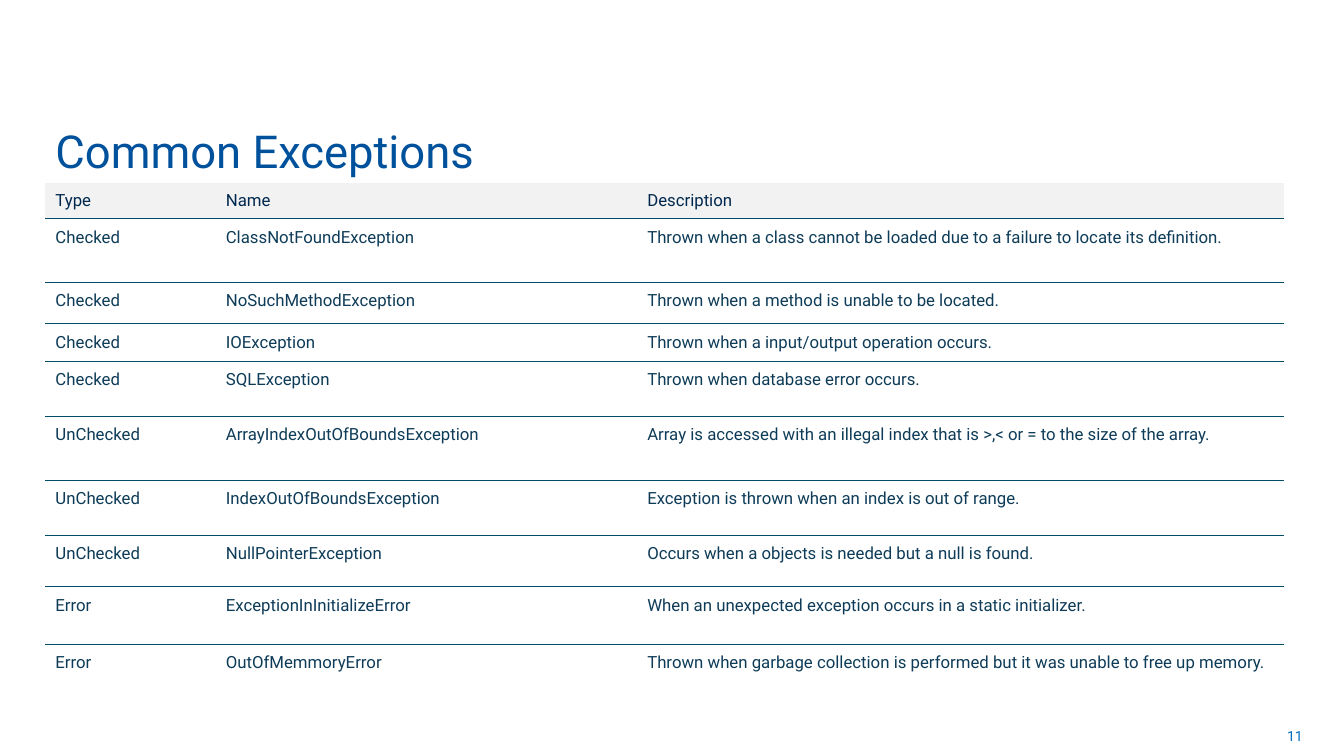
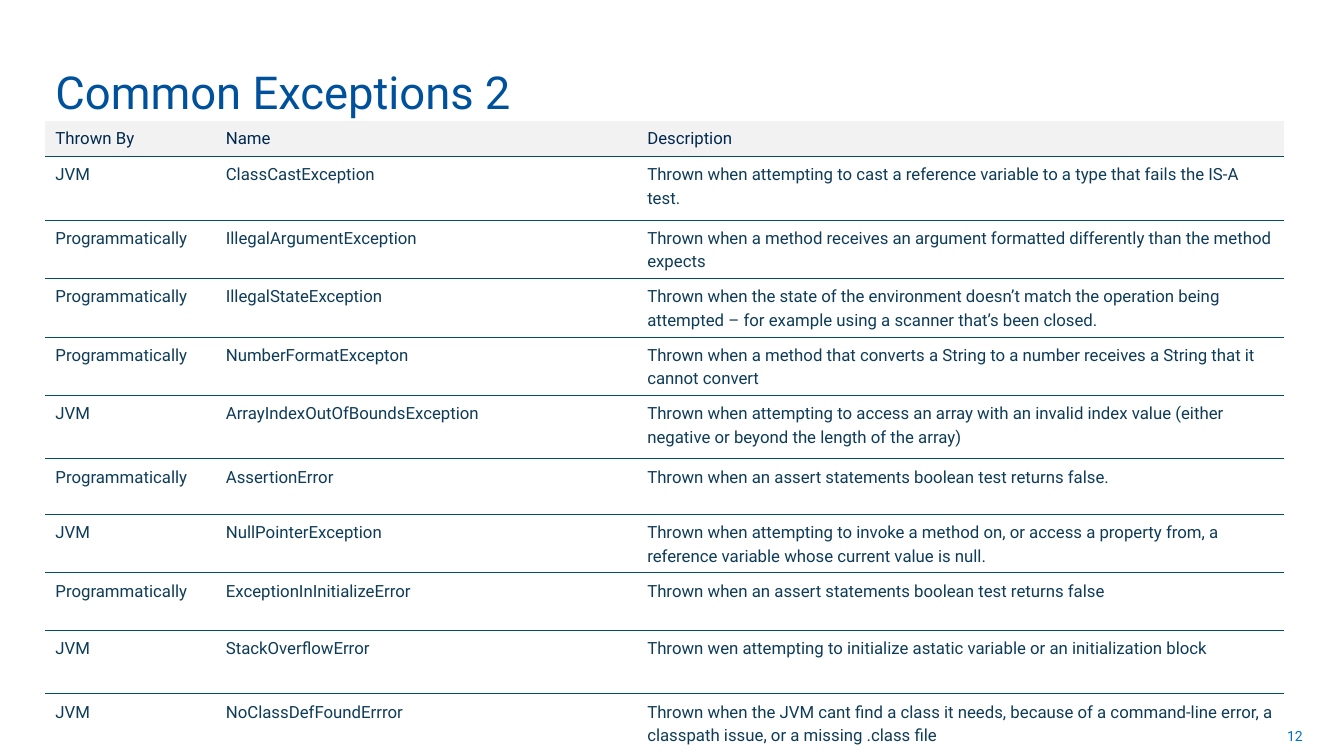
from pptx import Presentation
from pptx.dml.color import RGBColor
from pptx.enum.text import MSO_ANCHOR, MSO_AUTO_SIZE, PP_ALIGN
from pptx.oxml import parse_xml
from pptx.oxml.ns import nsdecls
from pptx.util import Inches, Pt

FONT = "Roboto"
TITLE_BLUE = RGBColor(0x00, 0x51, 0x9C)
NUMBER_BLUE = RGBColor(0x00, 0x70, 0xC0)
HEADER_NAVY = RGBColor(0x00, 0x28, 0x4E)
BODY_NAVY = RGBColor(0x0E, 0x3C, 0x58)
HEADER_GRAY = RGBColor(0xF2, 0xF2, 0xF2)
RULE_TEAL = RGBColor(0x03, 0x4D, 0x68)

LEFT = 0.45
COLUMN_WIDTHS = [1.69, 4.18, 6.42]
PLAIN_TABLE_STYLE = "{2D5ABB26-0587-4C30-8999-92F81FD0307C}"


def write_text(text_frame, text, size=12, color=BODY_NAVY, align=PP_ALIGN.LEFT, spacing=1.0):
    paragraph = text_frame.paragraphs[0]
    paragraph.alignment = align
    paragraph.line_spacing = spacing
    run = paragraph.add_run()
    run.text = text
    run.font.name = FONT
    run.font.size = Pt(size)
    run.font.bold = False
    run.font.color.rgb = color


def add_bottom_rule(cell, width):
    cell._tc.get_or_add_tcPr().insert(0, parse_xml(
        f'<a:lnB {nsdecls("a")} w="{Pt(width)}"><a:solidFill>'
        f'<a:srgbClr val="{RULE_TEAL}"/></a:solidFill></a:lnB>'))


# Content of each slide
slides = [
    {
        "title": "Common Exceptions", "number": "11", "title_top": 1.13, "table_top": 1.82,
        "heights": [0.35, 0.63, 0.41, 0.37, 0.55, 0.63, 0.55, 0.51, 0.57, 0.63],
        "rows": [
            ("Type", "Name", "Description"),
            ("Checked", "ClassNotFoundException",
             "Thrown when a class cannot be loaded due to a failure to locate its definition."),
            ("Checked", "NoSuchMethodException", "Thrown when a method is unable to be located."),
            ("Checked", "IOException", "Thrown when a input/output operation occurs."),
            ("Checked", "SQLException", "Thrown when database error occurs."),
            ("UnChecked", "ArrayIndexOutOfBoundsException",
             "Array is accessed with an illegal index that is >,< or = to the size of the array."),
            ("UnChecked", "IndexOutOfBoundsException",
             "Exception is thrown when an index is out of range."),
            ("UnChecked", "NullPointerException",
             "Occurs when a objects is needed but a null is found."),
            ("Error", "ExceptionInInitializeError",
             "When an unexpected exception occurs in a static initializer."),
            ("Error", "OutOfMemmoryError",
             "Thrown when garbage collection is performed but it was unable to free up memory."),
        ],
    },
    {
        "title": "Common Exceptions 2", "number": "12", "title_top": 0.54, "table_top": 1.2,
        "heights": [0.35, 0.63, 0.57, 0.57, 0.57, 0.63, 0.55, 0.57, 0.57, 0.63, 0.63],
        "rows": [
            ("Thrown By", "Name", "Description"),
            ("JVM", "ClassCastException",
             "Thrown when attempting to cast a reference variable to a type that fails the "
             "IS-A test."),
            ("Programmatically", "IllegalArgumentException",
             "Thrown when a method receives an argument formatted differently than the method "
             "expects"),
            ("Programmatically", "IllegalStateException",
             "Thrown when the state of the environment doesn’t match the operation being "
             "attempted – for example using a scanner that’s been closed."),
            ("Programmatically", "NumberFormatExcepton",
             "Thrown when a method that converts a String to a number receives a String that it "
             "cannot convert"),
            ("JVM", "ArrayIndexOutOfBoundsException",
             "Thrown when attempting to access an array with an invalid index value (either "
             "negative or beyond the length of the array)"),
            ("Programmatically", "AssertionError",
             "Thrown when an assert statements boolean test returns false."),
            ("JVM", "NullPointerException",
             "Thrown when attempting to invoke a method on, or access a property from, a "
             "reference variable whose current value is null."),
            ("Programmatically", "ExceptionInInitializeError",
             "Thrown when an assert statements boolean test returns false"),
            ("JVM", "StackOverflowError",
             "Thrown wen attempting to initialize astatic variable or an initialization block"),
            ("JVM", "NoClassDefFoundErrror",
             "Thrown when the JVM cant find a class it needs, because of a command-line error, a "
             "classpath issue, or a missing .class file"),
        ],
    },
]

presentation = Presentation()
presentation.slide_width = Inches(13.33)
presentation.slide_height = Inches(7.5)
title_only_layout = presentation.slide_layouts[5]

for content in slides:
    slide = presentation.slides.add_slide(title_only_layout)

    # Slide number
    number_box = slide.shapes.add_textbox(Inches(9.91), Inches(7.1), Inches(3.11), Inches(0.4))
    number_box.text_frame.word_wrap = True
    number_box.text_frame.vertical_anchor = MSO_ANCHOR.MIDDLE
    write_text(number_box.text_frame, content["number"], size=10, color=NUMBER_BLUE,
               align=PP_ALIGN.RIGHT)

    # Title
    title = slide.shapes.title
    title.left, title.top = Inches(LEFT), Inches(content["title_top"])
    title.width, title.height = Inches(9.98), Inches(0.69)
    title.text_frame.auto_size = MSO_AUTO_SIZE.NONE
    title.text_frame.vertical_anchor = MSO_ANCHOR.BOTTOM
    write_text(title.text_frame, content["title"], size=32.4, color=TITLE_BLUE, spacing=0.9)

    # Exception table
    rows, heights = content["rows"], content["heights"]
    table = slide.shapes.add_table(
        len(rows), len(COLUMN_WIDTHS), Inches(LEFT), Inches(content["table_top"]),
        Inches(sum(COLUMN_WIDTHS)), Inches(sum(heights))).table
    table.horz_banding = False
    table._tbl.tblPr[0].text = PLAIN_TABLE_STYLE
    for column, width in zip(table.columns, COLUMN_WIDTHS):
        column.width = Inches(width)
    for row_index, (row, height) in enumerate(zip(rows, heights)):
        is_header = row_index == 0
        table.rows[row_index].height = Inches(height)
        for column_index, text in enumerate(row):
            cell = table.cell(row_index, column_index)
            if is_header:
                cell.vertical_anchor = MSO_ANCHOR.MIDDLE
                cell.fill.solid()
                cell.fill.fore_color.rgb = HEADER_GRAY
                write_text(cell.text_frame, text, color=HEADER_NAVY)
            else:
                cell.fill.background()
                write_text(cell.text_frame, text, spacing=1.2)
            if row_index < len(rows) - 1:
                add_bottom_rule(cell, 0.75 if is_header else 0.25)

presentation.save("out.pptx")
